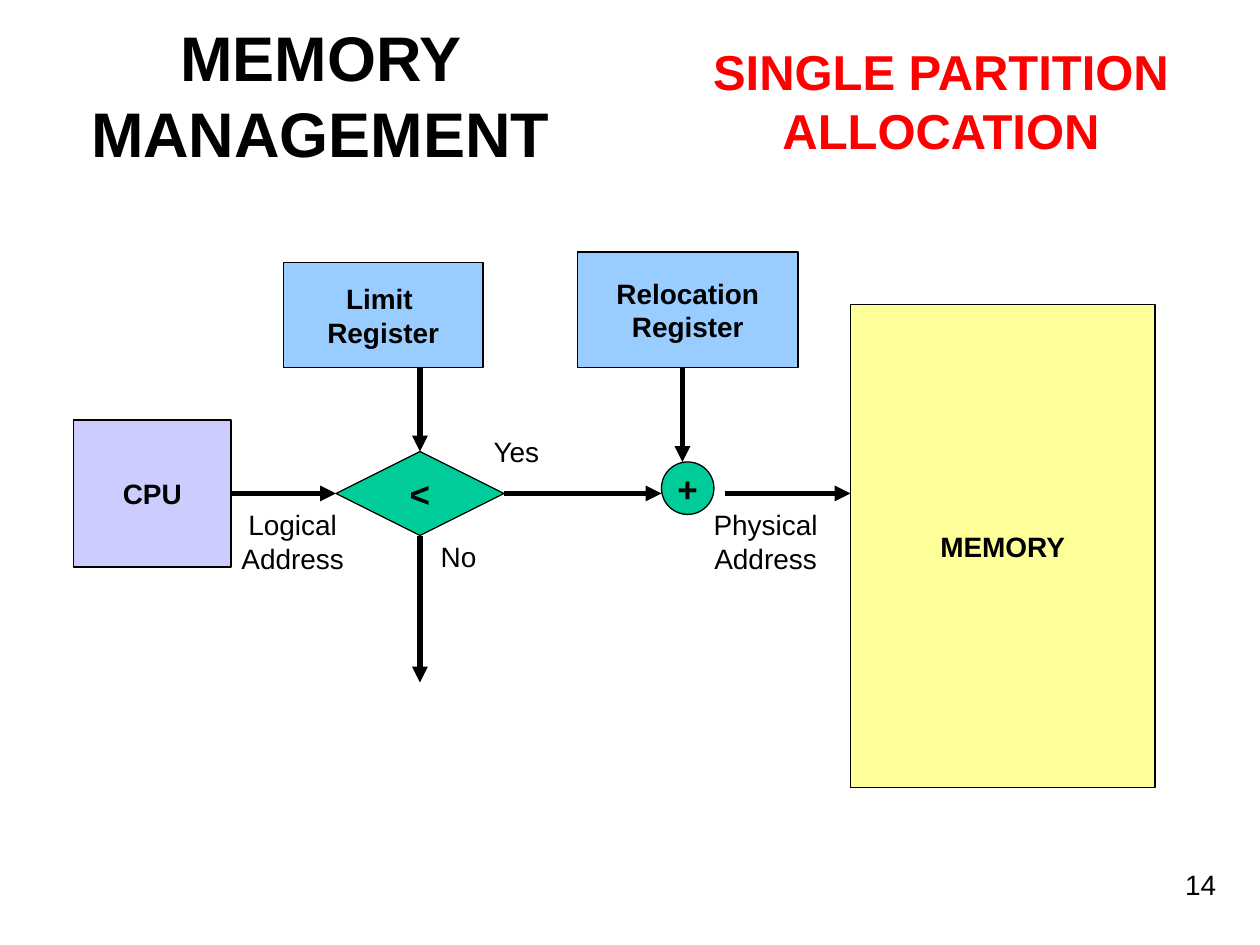
import pptx
import pptx.dml.color
import pptx.enum.shapes
import pptx.enum.text
import pptx.oxml
import pptx.oxml.ns
import pptx.util

Pt = pptx.util.Pt
SHAPE = pptx.enum.shapes.MSO_SHAPE
ALIGN = pptx.enum.text.PP_ALIGN
ANCHOR = pptx.enum.text.MSO_ANCHOR
TOP, LEFT, BOTTOM, RIGHT = range(4)

TITLE = ("MEMORY MANAGEMENT", (0, 12, 366, 84))

# name: preset, lines, (left, top, width, height), fill, text size
NODES = {
    "cpu": (SHAPE.RECTANGLE, ["CPU"], (42, 240, 90, 84), "CCCCFF", 16),
    "memory": (SHAPE.RECTANGLE, ["MEMORY"], (486, 174, 174, 276), "FFFF99", 16),
    "limit": (SHAPE.RECTANGLE, ["Limit ", "Register"], (162, 150, 114, 60), "99CCFF", 16),
    "relocation": (SHAPE.RECTANGLE, ["Relocation", "Register"], (330, 144, 126, 66), "99CCFF", 16),
    "add": (SHAPE.OVAL, ["+"], (378, 264, 30, 30), "00CC99", 20),
    "compare": (SHAPE.FLOWCHART_DECISION, ["<"], (192, 258, 96, 48), "00CC99", 20),
}

# start point, end point, joined start (node, side), joined end (node, side)
ARROWS = [
    ((132, 282), (192, 282), ("cpu", RIGHT), ("compare", LEFT)),
    ((288, 282), (378, 282), ("compare", RIGHT), None),
    ((414, 282), (486, 282), None, None),
    ((240, 306), (240, 390), ("compare", BOTTOM), None),
    ((240, 210), (240, 258), None, ("compare", TOP)),
    ((390, 210), (390, 264), None, None),
]

# lines, (left, top, width, height), size, colour, bold, alignment, wrap
LABELS = [
    (["SINGLE PARTITION", "ALLOCATION"], (399.5, 20, 276.5, 75), 28, "FF0000", True, ALIGN.CENTER, False),
    (["No"], (244.75, 304.5, 35, 26.5), 16, "000000", False, ALIGN.LEFT, False),
    (["Logical", "Address"], (130, 286.75, 74.5, 46), 16, "000000", False, ALIGN.CENTER, False),
    (["Yes"], (275, 244.5, 42, 26.5), 16, "000000", False, ALIGN.LEFT, False),
    (["Physical", "Address"], (399, 286.75, 77, 46), 16, "000000", False, ALIGN.CENTER, False),
    (["14"], (552, 492, 150, 36), 16, "000000", False, ALIGN.RIGHT, True),
]


def rgb(value):
    return pptx.dml.color.RGBColor.from_string(value)


def points(values):
    return [Pt(v) for v in values]


def write(tf, lines, size, color="000000", bold=True, align=ALIGN.CENTER,
          wrap=False, anchor=ANCHOR.MIDDLE):
    tf.word_wrap = wrap
    tf.vertical_anchor = anchor
    for i, line in enumerate(lines):
        p = tf.add_paragraph() if i else tf.paragraphs[0]
        p.text = line
        p.alignment = align
        p.font.name = "Arial"
        p.font.size = Pt(size)
        p.font.bold = bold
        p.font.color.rgb = rgb(color)


def add_node(s, preset, lines, box, fill, size):
    sp = s.shapes.add_shape(preset, *points(box))
    sp.shadow.inherit = False
    sp.fill.solid()
    sp.fill.fore_color.rgb = rgb(fill)
    sp.line.color.rgb = rgb("000000")
    sp.line.width = Pt(0.75)
    write(sp.text_frame, lines, size)
    return sp


def add_arrow(s, nodes, start, end, source, target):
    line = s.shapes.add_connector(pptx.enum.shapes.MSO_CONNECTOR.STRAIGHT,
                                  *points(start + end))
    if source:
        line.begin_connect(nodes[source[0]], source[1])
    if target:
        line.end_connect(nodes[target[0]], target[1])
    line.line.color.rgb = rgb("000000")
    line.line.width = Pt(3)
    ns = pptx.oxml.ns.nsdecls("a")
    head = pptx.oxml.parse_xml(f'<a:tailEnd {ns} type="triangle"/>')
    line.line._get_or_add_ln().append(head)
    line._element.spPr.append(pptx.oxml.parse_xml(f"<a:effectLst {ns}/>"))


def add_label(s, lines, box, size, color, bold, align, wrap):
    tf = s.shapes.add_textbox(*points(box)).text_frame
    write(tf, lines, size, color, bold, align, wrap, ANCHOR.TOP)
    if not wrap:
        tf.auto_size = pptx.enum.text.MSO_AUTO_SIZE.SHAPE_TO_FIT_TEXT


def main():
    prs = pptx.Presentation()
    prs.slide_width, prs.slide_height = Pt(720), Pt(540)
    s = prs.slides.add_slide(prs.slide_layouts[5])

    title = s.shapes.title
    text, box = TITLE
    title.left, title.top, title.width, title.height = points(box)
    write(title.text_frame, [text], 36, wrap=True)

    nodes = {name: add_node(s, *node) for name, node in NODES.items()}
    for arrow in ARROWS:
        add_arrow(s, nodes, *arrow)
    for label in LABELS:
        add_label(s, *label)

    prs.save("out.pptx")


if __name__ == "__main__":
    main()
